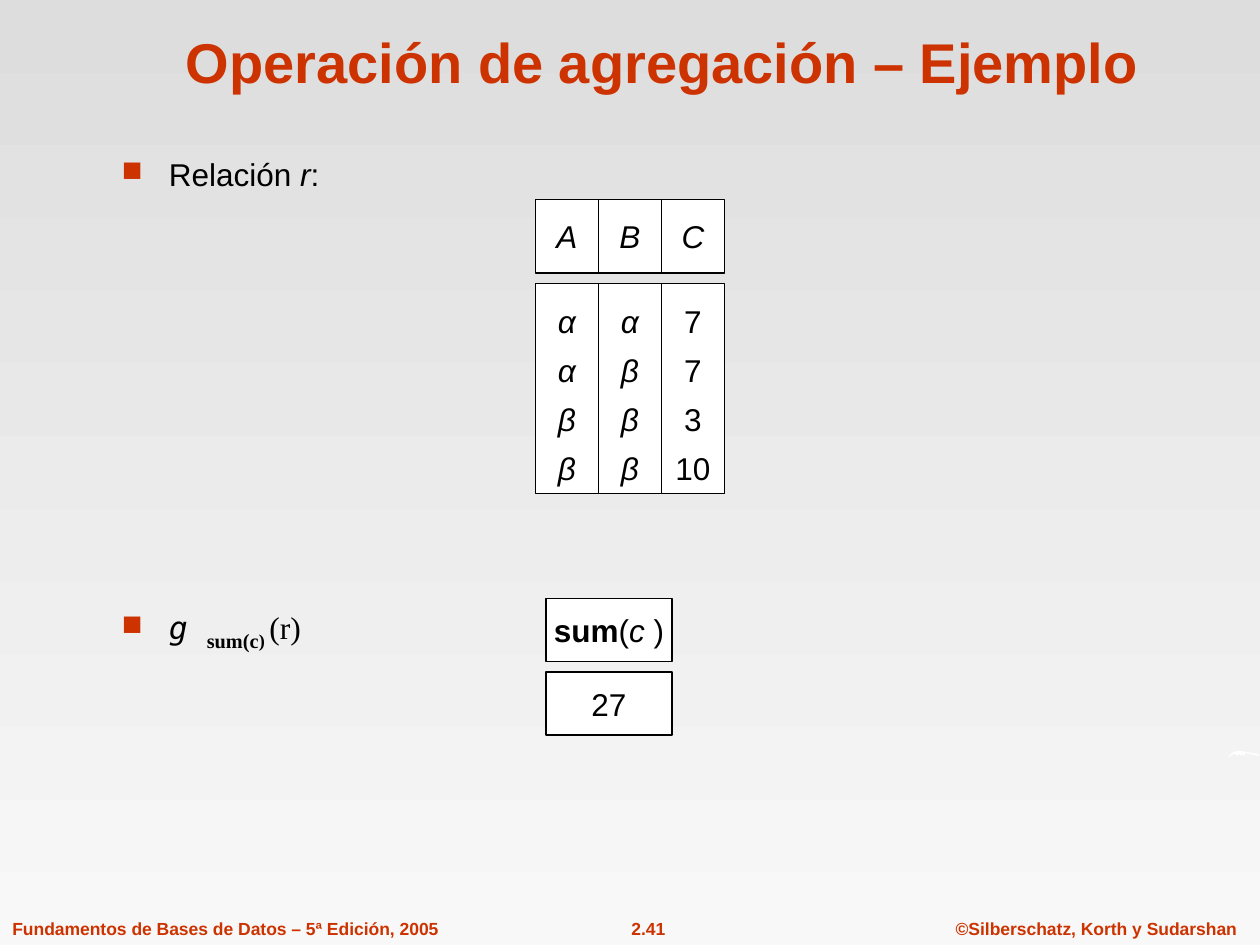
from dataclasses import dataclass

from lxml.etree import SubElement
from pptx import Presentation
from pptx.dml.color import RGBColor
from pptx.enum.shapes import MSO_SHAPE as Shape
from pptx.enum.text import MSO_ANCHOR as Anchor, MSO_AUTO_SIZE as AutoSize, PP_ALIGN as Align
from pptx.oxml.ns import qn
from pptx.util import Pt

SCALE = 7620  # EMU per px, 120 px to the inch


@dataclass(frozen=True)
class Theme:
    accent: str = "CC3300"
    ink: str = "000000"
    paper: str = "FFFFFF"
    sky: str = "DDDDDD"
    ground: str = "F8F8F8"
    font: str = "Arial"
    formula_font: str = "Times New Roman"
    symbol_font: str = "DejaVu Sans Mono"
    title_size: int = 32
    body_size: int = 18
    subscript_size: int = 20
    footer_size: int = 10


THEME = Theme()


def px(*lengths):
    return [length * SCALE for length in lengths]


def color(value):
    return RGBColor.from_string(value)


def add_runs(paragraph, runs, size=THEME.body_size, ink=THEME.ink):
    """Add (text, options) runs; options override the paragraph's plain style."""
    for text, options in runs:
        run = paragraph.add_run()
        run.text = text
        font = run.font
        font.name = options.get("font", THEME.font)
        font.size = Pt(options.get("size", size))
        font.bold = options.get("bold", False)
        font.italic = options.get("italic", False)
        font.color.rgb = color(ink)
        if "baseline" in options:
            run._r.get_or_add_rPr().set("baseline", str(options["baseline"] * 1000))


def add_text(slide, box, runs, align=Align.LEFT, wrap=True, **style):
    shape = slide.shapes.add_textbox(*px(*box))
    frame = shape.text_frame
    frame.word_wrap = wrap
    paragraph = frame.paragraphs[0]
    paragraph.alignment = align
    add_runs(paragraph, runs, **style)
    return shape


def add_title(slide, box, text):
    shape = add_text(slide, box, [(text, {"bold": True})], Align.CENTER,
                     size=THEME.title_size, ink=THEME.accent)
    shape.text_frame.vertical_anchor = Anchor.BOTTOM


def add_bullet(slide, box, runs):
    shape = add_text(slide, box, runs)
    properties = shape.text_frame.paragraphs[0]._p.get_or_add_pPr()
    indent = 45 * SCALE
    properties.set("marL", str(indent))
    properties.set("indent", str(-indent))
    bullet_color = SubElement(properties, qn("a:buClr"))
    SubElement(bullet_color, qn("a:srgbClr"), val=THEME.accent)
    SubElement(properties, qn("a:buSzPct"), val="90000")
    SubElement(properties, qn("a:buChar"), char="■")


def add_cell(slide, box, lines, spacing=None):
    """Draw a bordered cell with one centred paragraph for each list of runs."""
    shape = slide.shapes.add_shape(Shape.RECTANGLE, *px(*box))
    shape.shadow.inherit = False
    shape.fill.solid()
    shape.fill.fore_color.rgb = color(THEME.paper)
    shape.line.color.rgb = color(THEME.ink)
    shape.line.width = Pt(0.75)
    frame = shape.text_frame
    frame.word_wrap = False
    frame.vertical_anchor = Anchor.MIDDLE
    for index, runs in enumerate(lines):
        paragraph = frame.add_paragraph() if index else frame.paragraphs[0]
        paragraph.alignment = Align.CENTER
        if spacing:
            paragraph.line_spacing = spacing
        add_runs(paragraph, runs)


def add_relation(slide, box, columns):
    """Draw a header row and, after a gap, one tall cell for each column."""
    left, top, width, height = box
    header_height, gap = 70, 10
    column_width = width // len(columns)
    body_top = top + header_height + gap
    for index, (name, values, italic) in enumerate(columns):
        x = left + index * column_width
        add_cell(slide, (x, top, column_width, header_height), [[(name, {"italic": True})]])
        add_cell(slide, (x, body_top, column_width, top + height - body_top),
                 [[(value, {"italic": italic})] for value in values], spacing=1.3)


def add_result(slide, box, header, value):
    left, top, width, height = box
    gap = 10
    cell_height = (height - gap) // 2
    for row, runs in enumerate((header, value)):
        add_cell(slide, (left, top + row * (cell_height + gap), width, cell_height), [runs])


def add_swoosh(slide, box):
    left, top, width, height = box
    outline = [(0, 6), (2, 3), (5, 1), (10, 0), (16, 1), (22, 2), (27, 3), (30, 4),
               (28, 5), (24, 4), (16, 2), (15, 5), (12, 3), (12, 5), (9, 3), (9, 5),
               (6, 3), (3, 4), (1, 6)]
    points = [(left + x * width / 30, top + y * height / 6) for x, y in outline]
    builder = slide.shapes.build_freeform(*points[0], scale=SCALE)
    builder.add_line_segments(points[1:], close=True)
    shape = builder.convert_to_shape()
    shape.shadow.inherit = False
    shape.fill.solid()
    shape.fill.fore_color.rgb = color(THEME.paper)
    shape.line.fill.background()


def add_footer(slide, box):
    left, top, _, height = box
    entries = [
        (0, 430, "Fundamentos de Bases de Datos – 5ª Edición, 2005", Align.LEFT),
        (588, 59, "2.41", Align.CENTER),
        (898, 292, "©Silberschatz, Korth y Sudarshan", Align.CENTER),
    ]
    for x, width, text, align in entries:
        shape = add_text(slide, (left + x, top, width, height), [(text, {"bold": True})],
                         align, wrap=False, size=THEME.footer_size, ink=THEME.accent)
        shape.text_frame.auto_size = AutoSize.SHAPE_TO_FIT_TEXT


def paint_background(slide):
    fill = slide.background.fill
    fill.gradient()
    fill.gradient_angle = 270
    for stop, value in zip(fill.gradient_stops, (THEME.sky, THEME.ground)):
        stop.color.rgb = color(value)


def main():
    presentation = Presentation()
    presentation.slide_width, presentation.slide_height = px(1200, 900)
    slide = presentation.slides.add_slide(presentation.slide_layouts[6])
    paint_background(slide)
    add_footer(slide, (0, 868, 1200, 32))
    add_swoosh(slide, (1170, 715, 30, 6))
    add_title(slide, (101, 16, 1060, 80), "Operación de agregación – Ejemplo")

    add_bullet(slide, (104, 142, 232, 76),
               [("Relación ", {}), ("r", {"italic": True}), (":", {})])
    add_relation(slide, (510, 190, 180, 280), [
        ("A", "ααββ", True),
        ("B", "αβββ", True),
        ("C", ("7", "7", "3", "10"), False),
    ])

    formula = {"font": THEME.formula_font}
    subscript = {**formula, "bold": True, "baseline": -25}
    add_bullet(slide, (104, 570, 264, 73), [
        ("g ", {"font": THEME.symbol_font, "italic": True}),
        ("sum(c", {**subscript, "size": THEME.subscript_size}),
        (") ", subscript),
        ("(r)", formula),
    ])
    add_result(slide, (520, 570, 120, 130),
               [("sum", {"bold": True}), ("(", {}), ("c ", {"italic": True}), (")", {})],
               [("27", {})])
    presentation.save("out.pptx")


if __name__ == "__main__":
    main()
